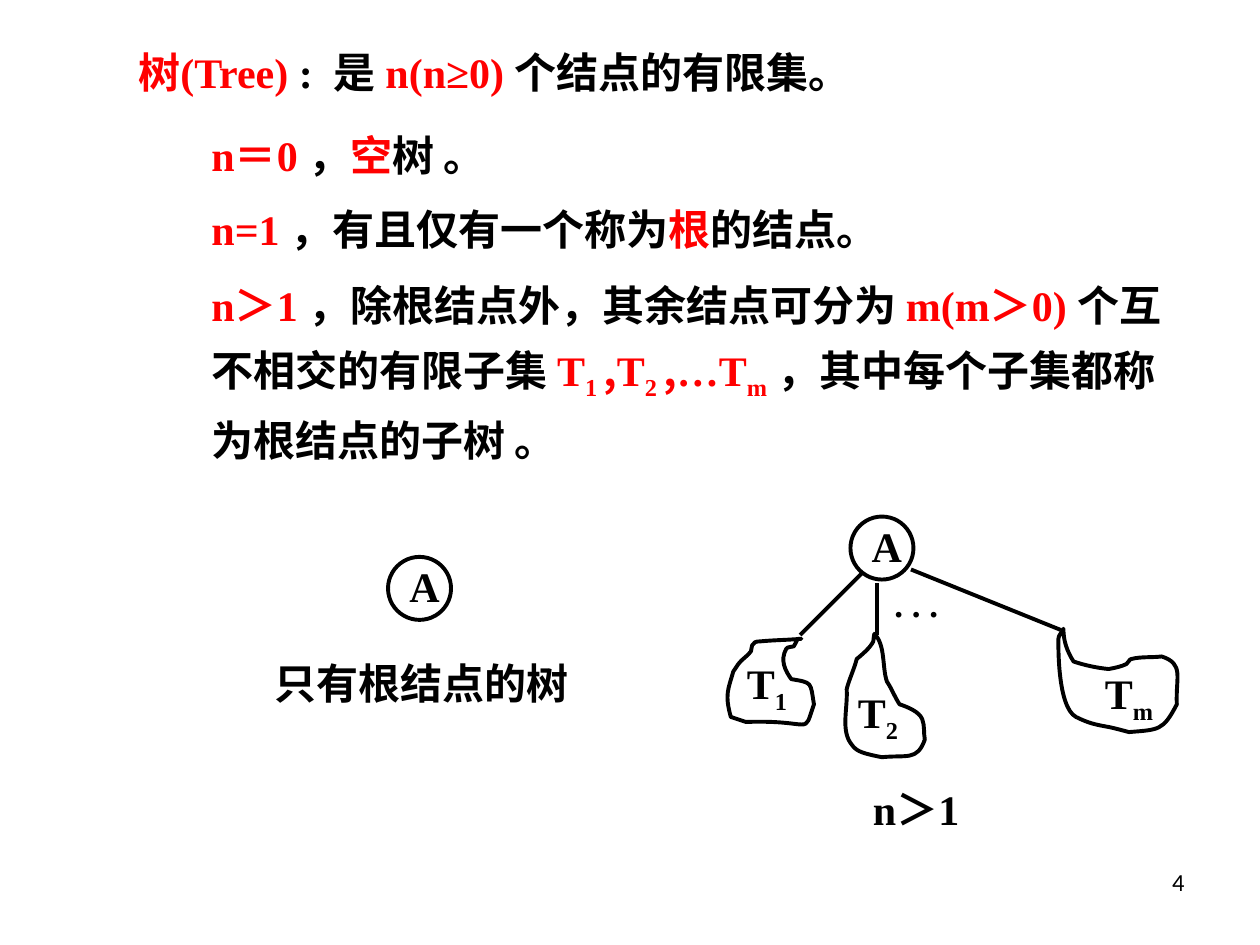
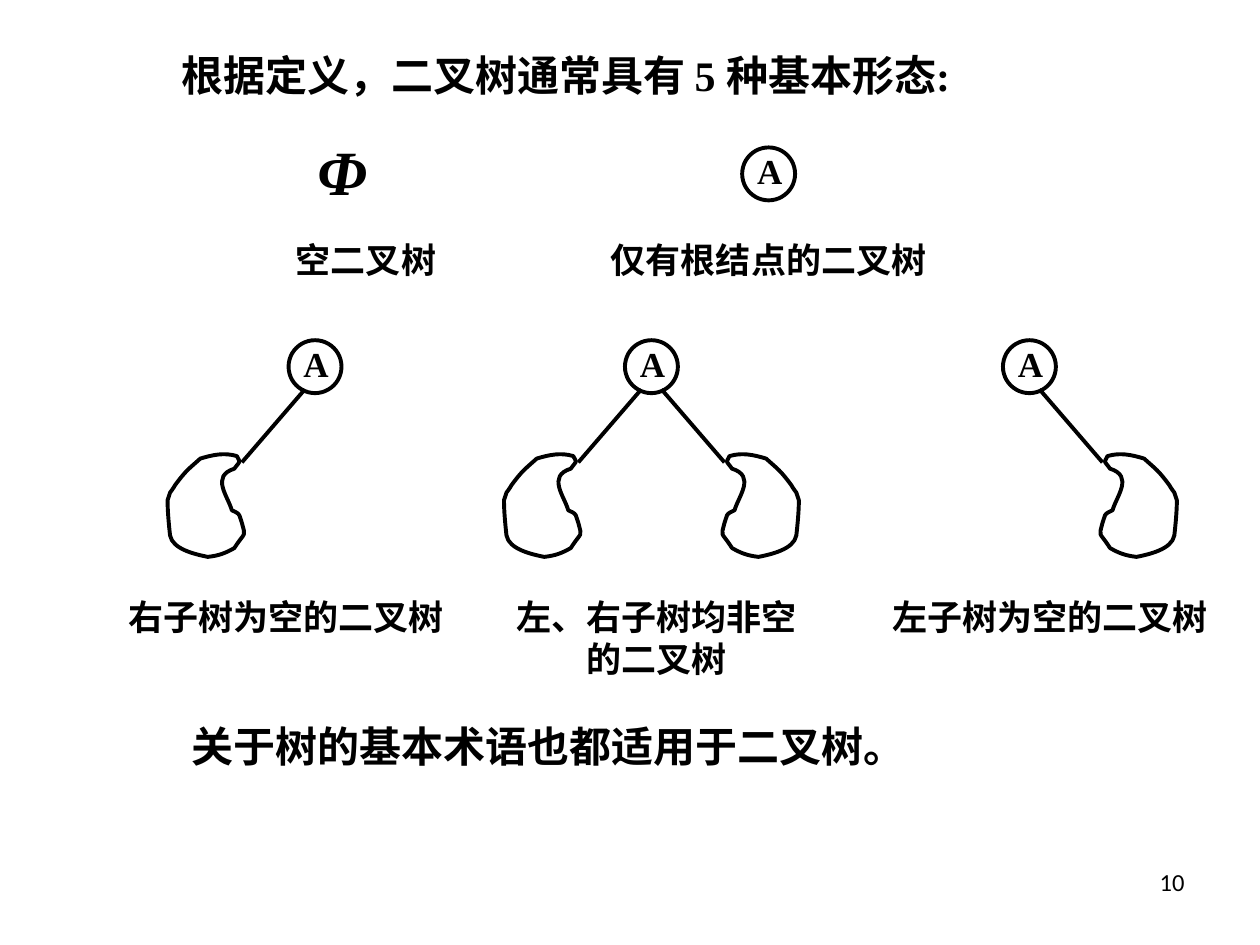
from dataclasses import dataclass

from lxml import etree
from pptx import Presentation
from pptx.dml.color import RGBColor
from pptx.enum.shapes import MSO_CONNECTOR, MSO_SHAPE
from pptx.enum.text import PP_ALIGN
from pptx.oxml.ns import qn
from pptx.util import Inches, Pt

LEFT, CENTER, RIGHT = PP_ALIGN.LEFT, PP_ALIGN.CENTER, PP_ALIGN.RIGHT
ELLIPSE = MSO_SHAPE.OVAL
STRAIGHT = MSO_CONNECTOR.STRAIGHT

BLACK = RGBColor(0x00, 0x00, 0x00)
RED = RGBColor(0xFF, 0x00, 0x00)
BODY_FONT = "Times New Roman"
CJK_FONT = "Noto Sans CJK SC"
NUMBER_FONT = "Calibri"
LINE_WIDTH = Pt(2.25)
BODY_SIZE = 24
SMALL_SIZE = 20

# Outlines: a start point, then three points (two controls, one end) per curve.
SUBTREE_1 = [
    (6.36, 5.07),
    (6.25, 5.08), (6.15, 5.08), (6.04, 5.09),
    (6.02, 5.09), (5.99, 5.09), (5.98, 5.11),
    (5.96, 5.12), (5.97, 5.15), (5.96, 5.17),
    (5.93, 5.21), (5.89, 5.23), (5.86, 5.27),
    (5.85, 5.29), (5.83, 5.31), (5.82, 5.33),
    (5.78, 5.47), (5.75, 5.51), (5.80, 5.69),
    (5.80, 5.69), (5.92, 5.73), (5.92, 5.73),
    (6.47, 5.71), (6.37, 5.85), (6.46, 5.59),
    (6.43, 5.41), (6.45, 5.42), (6.28, 5.39),
    (6.23, 5.32), (6.19, 5.24), (6.24, 5.15),
    (6.25, 5.13), (6.28, 5.14), (6.30, 5.13),
    (6.34, 5.06), (6.32, 5.07), (6.36, 5.07),
]
SUBTREE_2 = [
    (6.94, 5.03),
    (6.93, 5.06), (6.94, 5.09), (6.92, 5.11),
    (6.89, 5.16), (6.80, 5.23), (6.80, 5.23),
    (6.78, 5.31), (6.74, 5.39), (6.72, 5.47),
    (6.73, 5.62), (6.67, 5.80), (6.76, 5.91),
    (6.78, 5.94), (6.81, 5.96), (6.84, 5.97),
    (6.89, 5.99), (7.00, 6.01), (7.00, 6.01),
    (7.20, 5.99), (7.28, 6.04), (7.34, 5.87),
    (7.33, 5.82), (7.34, 5.76), (7.32, 5.71),
    (7.30, 5.65), (7.20, 5.61), (7.14, 5.59),
    (7.10, 5.53), (7.08, 5.47), (7.04, 5.41),
    (7.00, 5.30), (7.03, 5.12), (6.94, 5.03),
]
SUBTREE_M = [
    (8.44, 4.99),
    (8.43, 5.02), (8.40, 5.04), (8.40, 5.07),
    (8.40, 5.11), (8.39, 5.61), (8.54, 5.69),
    (8.64, 5.74), (8.69, 5.75), (8.80, 5.77),
    (8.85, 5.78), (8.96, 5.81), (8.96, 5.81),
    (9.20, 5.79), (9.23, 5.80), (9.34, 5.59),
    (9.33, 5.37), (9.40, 5.27), (9.22, 5.21),
    (9.14, 5.22), (9.06, 5.21), (8.98, 5.23),
    (8.96, 5.23), (8.96, 5.26), (8.94, 5.27),
    (8.90, 5.29), (8.85, 5.30), (8.80, 5.31),
    (8.70, 5.30), (8.61, 5.28), (8.52, 5.25),
    (8.47, 5.17), (8.44, 5.09), (8.44, 4.99),
]
# Left subtree of a binary tree, x measured from the middle of its root.
LEFT_SUBTREE = [
    (-0.62, 3.62),
    (-0.72, 3.59), (-0.81, 3.61), (-0.91, 3.64),
    (-1.01, 3.73), (-1.02, 3.73), (-1.11, 3.85),
    (-1.12, 3.87), (-1.15, 3.91), (-1.15, 3.91),
    (-1.15, 3.93), (-1.17, 3.95), (-1.17, 3.97),
    (-1.17, 4.06), (-1.16, 4.16), (-1.15, 4.25),
    (-1.13, 4.36), (-0.95, 4.40), (-0.85, 4.42),
    (-0.76, 4.41), (-0.71, 4.39), (-0.64, 4.35),
    (-0.55, 4.21), (-0.55, 4.27), (-0.58, 4.15),
    (-0.59, 4.13), (-0.59, 4.11), (-0.60, 4.09),
    (-0.61, 4.07), (-0.64, 4.06), (-0.66, 4.05),
    (-0.69, 3.94), (-0.83, 3.78), (-0.64, 3.72),
    (-0.59, 3.65), (-0.59, 3.68), (-0.62, 3.62),
]


@dataclass
class Span:
    text: str
    color: RGBColor = BLACK
    subscript: bool = False
    font: str = BODY_FONT


def red(text, **style):
    return Span(text, RED, **style)


def add_text(page, left, top, width, height, spans, size=BODY_SIZE, align=LEFT,
             bold=True, italic=False, line_spacing=None):
    """Add a one-paragraph text box; spans is a string or a list of Span."""
    box = page.shapes.add_textbox(Inches(left), Inches(top), Inches(width), Inches(height))
    box.text_frame.word_wrap = True
    para = box.text_frame.paragraphs[0]
    para.alignment = align
    para.line_spacing = line_spacing
    for span in [Span(spans)] if isinstance(spans, str) else spans:
        run = para.add_run()
        run.text = span.text
        font = run.font
        font.size, font.bold, font.italic = Pt(size), bold, italic
        font.color.rgb = span.color
        font.name = span.font
        properties = run._r.get_or_add_rPr()
        etree.SubElement(properties, qn("a:ea")).set("typeface", CJK_FONT)
        if span.subscript:
            properties.set("baseline", "-25000")


def draw_outline(shape):
    shape.shadow.inherit = False
    shape.fill.background()
    shape.line.color.rgb = BLACK
    shape.line.width = LINE_WIDTH


def add_circle(page, left, top, diameter):
    circle = page.shapes.add_shape(
        ELLIPSE, Inches(left), Inches(top), Inches(diameter), Inches(diameter))
    draw_outline(circle)


def add_branch(page, start, end):
    branch = page.shapes.add_connector(STRAIGHT, *map(Inches, start + end))
    branch.line.color.rgb = BLACK
    branch.line.width = LINE_WIDTH
    etree.SubElement(branch._element.spPr, qn("a:effectLst"))


def add_subtree(page, outline):
    """Add a closed freeform, joining every three line segments into one curve."""
    points = [(Inches(x), Inches(y)) for x, y in outline]
    builder = page.shapes.build_freeform(*points[0])
    builder.add_line_segments(points[1:], close=True)
    shape = builder.convert_to_shape()
    segments = list(shape._element.iter(qn("a:lnTo")))
    for index in range(0, len(segments), 3):
        curve = etree.Element(qn("a:cubicBezTo"))
        segments[index].addprevious(curve)
        for segment in segments[index:index + 3]:
            curve.append(segment[0])
            segment.getparent().remove(segment)
    draw_outline(shape)


def add_root(page, left, top):
    add_circle(page, left, top, 0.5)
    add_text(page, left + 0.07, top - 0.02, 0.58, 0.5, "A")


def add_binary_root(page, middle, top):
    add_circle(page, middle - 0.21, top, 0.42)
    add_text(page, middle - 0.19, top - 0.03, 0.58, 0.44, "A", SMALL_SIZE)


def add_binary_tree(page, middle, sides):
    """Add a root with a subtree on each side given (-1 left, 1 right)."""
    add_binary_root(page, middle, 2.7)
    for side in sides:
        add_subtree(page, [(middle - side * x, y) for x, y in LEFT_SUBTREE])
        add_branch(page, (middle + side * 0.58, 3.67), (middle + side * 0.08, 3.09))


def add_page(deck, number):
    page = deck.slides.add_slide(deck.slide_layouts[6])
    add_text(page, 7.17, 6.83, 2.33, 0.52, [Span(number, font=NUMBER_FONT)],
             size=14, align=RIGHT, bold=False)
    return page


def build_tree_page(deck):
    page = add_page(deck, "4")
    add_text(page, 1, 0.32, 7.67, 0.5, [
        red("树(Tree)"), Span(" :  是 "), red("n(n≥0) "), Span("个结点的有限集。")])
    add_text(page, 1.58, 0.98, 6.75, 0.5, [
        red("n＝0 "), Span("，"), red("空"), Span("树 。")])
    add_text(page, 1.58, 1.57, 6.75, 0.5, [
        red("n=1 "), Span("，有且仅有一个称为"), red("根"), Span("的结点。")])
    comma = red(",", font=CJK_FONT)
    add_text(page, 1.58, 2.07, 7.75, 1.67, [
        red("n＞1 "), Span("，除根结点外，其余结点可分为 "), red("m(m＞0) "),
        Span("个互不相交的有限子集 "),
        red("T"), red("1 ", subscript=True), comma,
        red("T"), red("2 ", subscript=True), comma,
        red("…T"), red("m", subscript=True),
        Span(" ，其中每个子集都称为根结点的子树 。")], line_spacing=1.25)

    add_text(page, 2.08, 5.17, 2.58, 0.5, "只有根结点的树")
    for left, top in ((3.08, 4.42), (6.75, 4.1)):
        add_root(page, left, top)

    add_branch(page, (6.85, 4.54), (6.35, 5.04))
    add_branch(page, (6.96, 4.63), (6.96, 5.04))
    add_branch(page, (7.23, 4.52), (8.42, 5))
    add_text(page, 7, 4.57, 0.75, 0.44, ". . .", SMALL_SIZE)
    for outline, index, left, top, width in (
            (SUBTREE_1, "1", 5.83, 5.17, 0.58),
            (SUBTREE_2, "2", 6.71, 5.4, 0.58),
            (SUBTREE_M, "m", 8.67, 5.25, 0.75)):
        add_subtree(page, outline)
        add_text(page, left, top, width, 0.56, [Span("T"), Span(index, subscript=True)])
    add_text(page, 6.83, 6.17, 2.42, 0.5, "n＞1")


def build_binary_tree_page(deck):
    page = add_page(deck, "10")
    add_text(page, 1.34, 0.34, 7, 0.5, "根据定义，二叉树通常具有 5 种基本形态:")
    add_text(page, 2.42, 1, 1.25, 0.7, "Φ", 36, italic=True)
    add_binary_root(page, 6.1, 1.17)
    for middle, sides in ((2.5, (-1,)), (5.17, (-1, 1)), (8.17, (1,))):
        add_binary_tree(page, middle, sides)
    for left, top, width, height, caption, align in (
            (2.25, 1.84, 1.92, 0.44, "空二叉树", LEFT),
            (4.75, 1.84, 4.17, 0.44, "仅有根结点的二叉树", LEFT),
            (0.92, 4.68, 3.5, 0.44, "右子树为空的二叉树", LEFT),
            (3.92, 4.68, 2.58, 0.77, "左、右子树均非空的二叉树", CENTER),
            (6.92, 4.68, 2.83, 0.44, "左子树为空的二叉树", CENTER)):
        add_text(page, left, top, width, height, caption, SMALL_SIZE, align)
    add_text(page, 1.42, 5.67, 7.92, 0.5, "关于树的基本术语也都适用于二叉树。")


def main():
    deck = Presentation()
    deck.slide_width, deck.slide_height = Inches(10), Inches(7.5)
    build_tree_page(deck)
    build_binary_tree_page(deck)
    deck.save("out.pptx")


if __name__ == "__main__":
    main()
